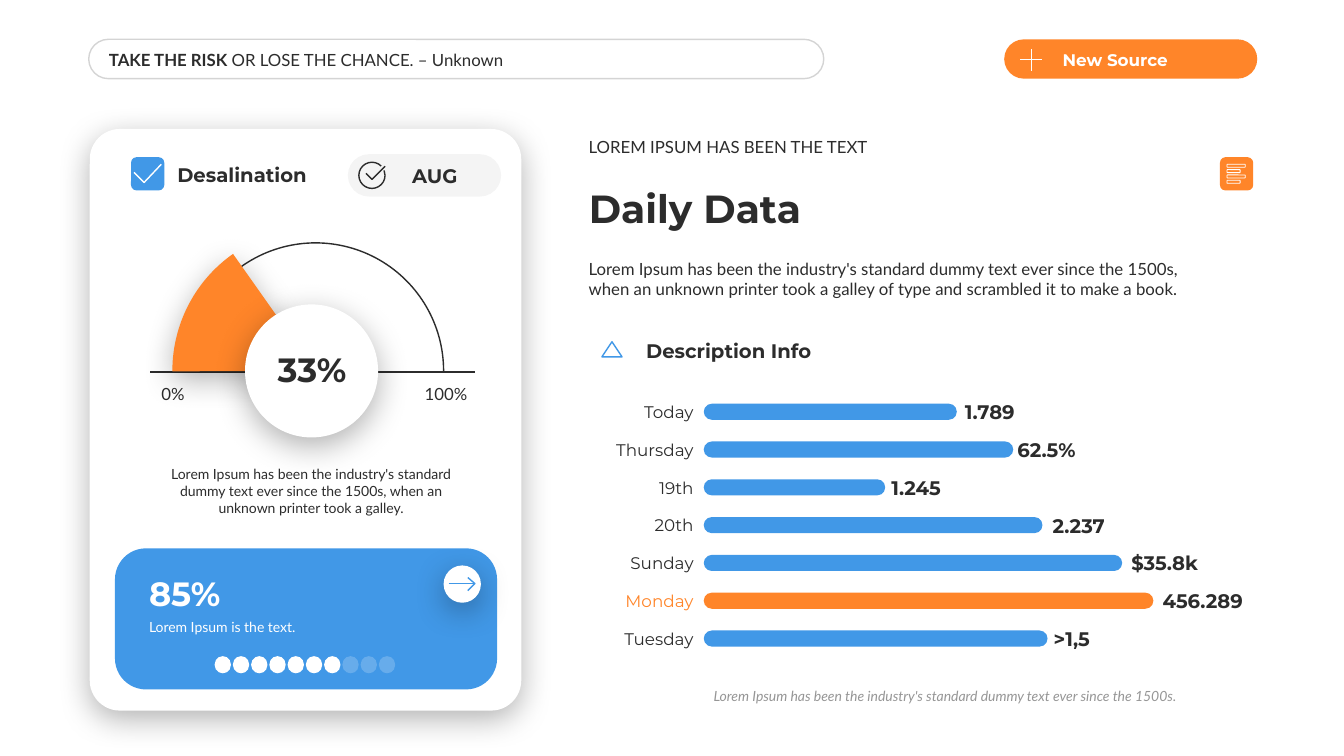
from lxml.etree import SubElement
from pptx import Presentation
from pptx.dml.color import RGBColor
from pptx.enum.shapes import MSO_CONNECTOR, MSO_SHAPE
from pptx.enum.text import MSO_ANCHOR, MSO_AUTO_SIZE, PP_ALIGN
from pptx.oxml.ns import qn
from pptx.util import Inches, Pt

COLORS = {"ink": "2C2C2C", "blue": "4198E7", "orange": "FF8529",
          "white": "FFFFFF", "gray": "969696", "black": "000000"}
TOP, MIDDLE, BOTTOM = MSO_ANCHOR.TOP, MSO_ANCHOR.MIDDLE, MSO_ANCHOR.BOTTOM
LEFT, CENTER, RIGHT = PP_ALIGN.LEFT, PP_ALIGN.CENTER, PP_ALIGN.RIGHT
BODY, HEAD = "Lato", "Montserrat"

BARS = [("Today", 2.51, "1.789", 9.57), ("Thursday", 3.07, "62.5%", 10.09),
        ("19th", 1.8, "1.245", 8.84), ("20th", 3.36, "2.237", 10.44),
        ("Sunday", 4.15, "$35.8k", 11.22), ("Monday", 4.46, "456.289", 11.53),
        ("Tuesday", 3.41, ">1,5", 10.45)]


def paint(fill, color, alpha=100):
    fill.solid()
    fill.fore_color.rgb = RGBColor.from_string(COLORS[color])
    if alpha < 100:
        clr = fill._xPr.find(".//" + qn("a:srgbClr"))
        SubElement(clr, qn("a:alpha"), val=str(alpha * 1000))


def style(sp, fill=None, alpha=100, line=None, width=1, line_alpha=100):
    sp.shadow.inherit = False
    if fill:
        paint(sp.fill, fill, alpha)
    else:
        sp.fill.background()
    if line:
        paint(sp.line.fill, line, line_alpha)
        sp.line.width = Pt(width)
    else:
        sp.line.fill.background()
    return sp


def shape(s, kind, x, y, w, h, fill=None, adj=(), **kw):
    sp = s.shapes.add_shape(kind, Inches(x), Inches(y), Inches(w), Inches(h))
    for i, value in enumerate(adj):
        sp.adjustments[i] = value
    return style(sp, fill, **kw)


def pill(s, x, y, w, h, fill=None, **kw):
    return shape(s, MSO_SHAPE.ROUNDED_RECTANGLE, x, y, w, h, fill, adj=(0.5,), **kw)


def cast_shadow(sp):
    effects = sp._element.spPr.find(qn("a:effectLst"))
    shadow = SubElement(effects, qn("a:outerShdw"), blurRad=str(Pt(23)),
                        dist=str(Pt(6)), dir="5400000", algn="t", rotWithShape="0")
    clr = SubElement(shadow, qn("a:srgbClr"), val=COLORS["black"])
    SubElement(clr, qn("a:alpha"), val="30000")


def line(s, x1, y1, x2, y2, color, width=1):
    c = s.shapes.add_connector(MSO_CONNECTOR.STRAIGHT, Inches(x1), Inches(y1),
                               Inches(x2), Inches(y2))
    paint(c.line.fill, color)
    c.line.width = Pt(width)
    SubElement(c._element.spPr, qn("a:effectLst"))


def stroke(s, points, color):
    points = [(Inches(x), Inches(y)) for x, y in points]
    fb = s.shapes.build_freeform(*points[0])
    fb.add_line_segments(points[1:], close=False)
    style(fb.convert_to_shape(), line=color)


def write(sp, runs, size, font, color="ink", bold=False, italic=False,
          align=LEFT, anchor=MIDDLE, inset=(0.1, 0.05), wrap=True):
    tf = sp.text_frame
    tf.word_wrap = wrap
    tf.vertical_anchor = anchor
    tf.auto_size = MSO_AUTO_SIZE.SHAPE_TO_FIT_TEXT
    tf.margin_left = tf.margin_right = Inches(inset[0])
    tf.margin_top = tf.margin_bottom = Inches(inset[1])
    p = tf.paragraphs[0]
    p.alignment = align
    f = p.font
    f.name, f.size, f.bold, f.italic = font, Pt(size), bold, italic
    paint(f.fill, color)
    for text, strong in runs:
        r = p.add_run()
        r.text = text
        if strong:
            r.font.bold = True


def label(s, x, y, w, h, text, size, font, **kw):
    sp = s.shapes.add_textbox(Inches(x), Inches(y), Inches(w), Inches(h))
    write(sp, [(text, False)] if isinstance(text, str) else text, size, font, **kw)


def add_header(s):
    pill(s, 0.88, 0.39, 7.29, 0.39, line="ink", line_alpha=20)
    label(s, 1.04, 0.44, 6.51, 0.3,
          [("TAKE THE RISK ", True), ("OR LOSE THE CHANCE. – Unknown", False)],
          12, BODY, inset=(0.04, 0.05))
    pill(s, 9.96, 0.39, 2.51, 0.39, "orange")
    label(s, 10.44, 0.44, 2.02, 0.3, "New Source", 12, HEAD, color="white", bold=True)
    line(s, 10.12, 0.59, 10.33, 0.59, "white", 0.75)
    line(s, 10.23, 0.49, 10.23, 0.7, "white", 0.75)


def add_card(s):
    cast_shadow(shape(s, MSO_SHAPE.ROUNDED_RECTANGLE, 0.89, 1.28, 4.28, 5.77,
                      "white", adj=(0.07,)))
    shape(s, MSO_SHAPE.ROUNDED_RECTANGLE, 1.3, 1.56, 0.33, 0.33, "blue")
    stroke(s, [(1.33, 1.71), (1.43, 1.81), (1.6, 1.63)], "white")
    label(s, 1.66, 1.56, 1.59, 0.34, "Desalination", 14, HEAD, bold=True)
    pill(s, 3.45, 1.53, 1.52, 0.42, "ink", alpha=5)
    shape(s, MSO_SHAPE.ARC, 3.56, 1.61, 0.26, 0.26, adj=(202.8, 189), line="ink")
    stroke(s, [(3.63, 1.72), (3.69, 1.78), (3.82, 1.65)], "ink")
    label(s, 3.99, 1.57, 0.87, 0.34, "AUG", 14, HEAD, bold=True)
    label(s, 1.42, 4.57, 3.33, 0.61,
          "Lorem Ipsum has been the industry's standard dummy text ever since "
          "the 1500s, when an unknown printer took a galley.",
          10, BODY, align=CENTER, anchor=TOP)


def add_gauge(s):
    shape(s, MSO_SHAPE.ARC, 1.86, 2.41, 2.54, 2.54, adj=(107.89, 0), line="ink")
    line(s, 1.49, 3.69, 4.71, 3.69, "ink")
    for x, w, text in [(1.6, 0.23, "0%"), (4.21, 0.43, "100%")]:
        label(s, x, 3.81, w, 0.2, text, 12, BODY, align=CENTER, inset=(0, 0), wrap=False)
    cast_shadow(shape(s, MSO_SHAPE.ARC, 1.71, 2.26, 2.84, 2.84, "orange",
                      adj=(107.89, 140.88)))
    cast_shadow(shape(s, MSO_SHAPE.OVAL, 2.43, 3.02, 1.32, 1.32, "white"))
    label(s, 2.35, 3.41, 1.49, 0.5, "33%", 24, HEAD, bold=True, align=CENTER)


def add_progress(s):
    shape(s, MSO_SHAPE.ROUNDED_RECTANGLE, 1.14, 5.44, 3.79, 1.4, "blue", adj=(0.22,))
    label(s, 1.38, 6.09, 2, 0.27, "Lorem Ipsum is the text.", 10, BODY,
          color="white", anchor=TOP)
    label(s, 1.38, 5.63, 2, 0.5, "85%", 24, HEAD, color="white", bold=True, anchor=BOTTOM)
    for i in range(10):
        pill(s, 2.13 + 0.181 * i, 6.51, 0.16, 0.17, "white", alpha=100 if i < 7 else 20)
    cast_shadow(shape(s, MSO_SHAPE.OVAL, 4.4, 5.61, 0.37, 0.37, "white"))
    line(s, 4.45, 5.79, 4.71, 5.79, "blue")
    stroke(s, [(4.64, 5.73), (4.71, 5.79), (4.64, 5.86)], "blue")


def add_intro(s):
    title = s.shapes.title
    title.left, title.top, title.width, title.height = map(Inches, (5.74, 1.78, 6.22, 0.57))
    write(title, [("Daily Data", False)], 28, HEAD, bold=True, anchor=BOTTOM)
    label(s, 5.74, 1.31, 6.22, 0.3, "LOREM IPSUM HAS BEEN THE TEXT", 12, BODY, anchor=BOTTOM)
    label(s, 5.74, 2.52, 6.22, 0.5,
          "Lorem Ipsum has been the industry's standard dummy text ever since the 1500s, "
          "when an unknown printer took a galley of type and scrambled it to make a book.",
          12, BODY, anchor=TOP)
    shape(s, MSO_SHAPE.ROUNDED_RECTANGLE, 12.1, 1.56, 0.33, 0.33, "orange")
    for i, w in enumerate((0.18, 0.13, 0.18, 0.13)):
        shape(s, MSO_SHAPE.ROUNDED_RECTANGLE, 12.17, 1.63 + 0.053 * i, w, 0.03,
              line="white", width=0.6)


def add_bars(s):
    shape(s, MSO_SHAPE.ISOSCELES_TRIANGLE, 5.97, 3.39, 0.2, 0.15, line="blue")
    label(s, 6.31, 3.31, 4.96, 0.34, "Description Info", 14, HEAD, bold=True, anchor=BOTTOM)
    for i, (day, length, value, value_x) in enumerate(BARS):
        y = 4.085 + 0.375 * i
        hot = day == "Monday"
        pill(s, 6.98, y - 0.08, length, 0.16, "orange" if hot else "blue")
        label(s, 5.85, y - 0.15, 1.03, 0.3, day, 12, HEAD,
              color="orange" if hot else "ink", align=RIGHT, inset=(0, 0.05))
        label(s, value_x, y - 0.17, 1.35, 0.34, value, 14, HEAD, bold=True, inset=(0, 0.05))
    label(s, 6.98, 6.77, 5.44, 0.27,
          "Lorem Ipsum has been the industry's standard dummy text ever since the 1500s.",
          10, BODY, color="gray", italic=True, anchor=TOP)


def main():
    prs = Presentation()
    prs.slide_width, prs.slide_height = Inches(13.33), Inches(7.5)
    s = prs.slides.add_slide(prs.slide_layouts[5])
    for add in (add_header, add_card, add_gauge, add_progress, add_intro, add_bars):
        add(s)
    prs.save("out.pptx")


if __name__ == "__main__":
    main()
